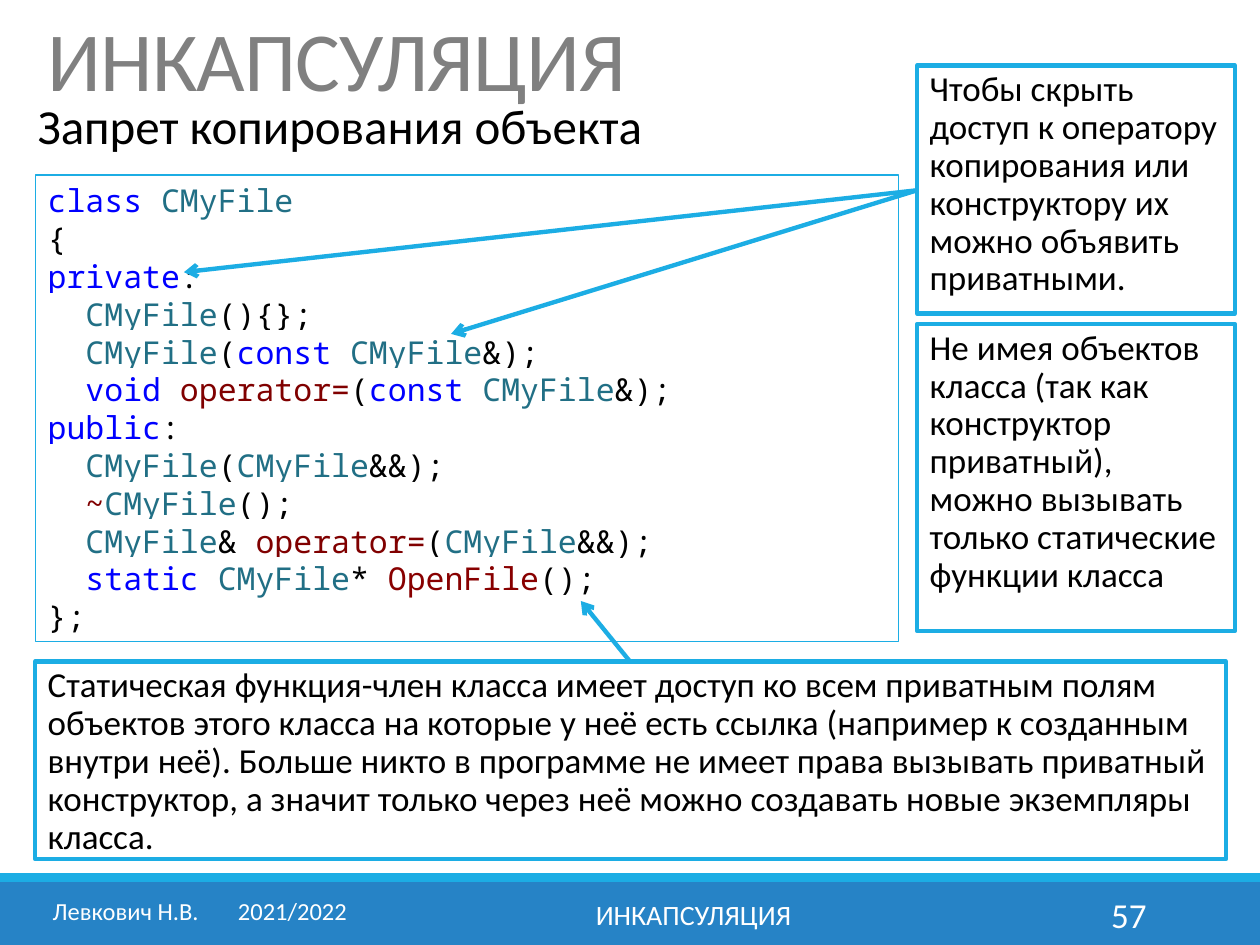
"""Build the slide on forbidding object copying with private class members."""
from lxml import etree
from pptx import Presentation
from pptx import util as u
from pptx.dml.color import RGBColor
from pptx.enum import shapes, text
from pptx.oxml import ns

SKY = RGBColor(0x1C, 0xAD, 0xE4)
BLUE = RGBColor(0x26, 0x83, 0xC6)
WHITE = RGBColor(0xFF, 0xFF, 0xFF)
BLACK = RGBColor(0, 0, 0)
GRAY = RGBColor(0x80, 0x80, 0x80)
KEYWORD = RGBColor(0, 0, 0xFF)
TYPE = RGBColor(0x21, 0x6F, 0x85)
OPERATOR = RGBColor(0x80, 0, 0)
FUNCTION = RGBColor(0x88, 0, 0)

TOPIC = "ИНКАПСУЛЯЦИЯ"
CODE = [
    "class| |CMyFile",
    "{",
    "private|:",
    "  |CMyFile|(){};",
    "  |CMyFile|(|const| |CMyFile|&);",
    "  |void| |operator=|(|const| |CMyFile|&);",
    "public|:",
    "  |CMyFile|(|CMyFile|&&);",
    "  ~|CMyFile|();",
    "  |CMyFile|& |operator=|(|CMyFile|&&);",
    "  |static| |CMyFile|* |OpenFile|();",
    "};",
]
TOKEN_COLORS = {
    **dict.fromkeys(["class", "private", "public", "const", "void", "static"], KEYWORD),
    "CMyFile": TYPE, "operator=": OPERATOR, "  ~": OPERATOR, "OpenFile": FUNCTION,
}
BARS = [((0, 7, 10, 0.5), BLUE), ((0, 6.93, 10, 0.07), SKY)]
NOTES = [
    ((0.28, 5.25, 9.45, 1.57),
     "Статическая функция-член класса имеет доступ ко всем приватным полям объектов "
     "этого класса на которые у неё есть ссылка (например к созданным внутри неё). "
     "Больше никто в программе не имеет права вызывать приватный конструктор, а значит "
     "только через неё можно создавать новые экземпляры класса."),
    ((7.28, 2.57, 2.52, 2.44),
     "Не имея объектов класса (так как конструктор приватный),\v"
     "можно вызывать только статические функции класса"),
    ((7.28, 0.52, 2.52, 1.97),
     "Чтобы скрыть доступ к оператору копирования или конструктору их можно "
     "объявить приватными."),
]
ARROWS = [
    ((5, 5.25), (4.61, 4.77)),
    ((7.28, 1.51), (3.58, 2.65)),
    ((7.28, 1.51), (1.46, 2.16)),
]
LEFT, CENTER, RIGHT = text.PP_ALIGN.LEFT, text.PP_ALIGN.CENTER, text.PP_ALIGN.RIGHT
TOP, MIDDLE = text.MSO_ANCHOR.TOP, text.MSO_ANCHOR.MIDDLE
LABELS = [
    ((0.2, 0.76, 8.71, 0.55), "Запрет копирования объекта", 28, BLACK, LEFT, TOP, 0.9),
    ((0.32, 7.06, 2.61, 0.4), "Левкович Н.В.\t2021/2022", 14, WHITE, LEFT, TOP, 1.0),
    ((3.02, 7.06, 4.97, 0.4), TOPIC, 16, WHITE, CENTER, MIDDLE, 1.0),
    ((8.12, 7.06, 1.08, 0.4), "57", 20, WHITE, RIGHT, MIDDLE, 1.0),
]
FOOTER_TAB = 1.47


def apply(target, **values):
    for key, value in values.items():
        setattr(target, key, value)


def inches(values):
    return [u.Inches(value) for value in values]


def set_font(font, color, size, name="Calibri"):
    apply(font, name=name, size=u.Pt(size))
    font.color.rgb = color


def set_frame(frame, anchor=TOP):
    apply(frame, word_wrap=True, auto_size=text.MSO_AUTO_SIZE.NONE, vertical_anchor=anchor)


def write(frame, content, size, color, align=LEFT, anchor=TOP, spacing=0.9):
    set_frame(frame, anchor)
    paragraph = frame.paragraphs[0]
    paragraph.text = content
    apply(paragraph, alignment=align, line_spacing=spacing, space_before=u.Pt(0))
    if "\t" in content:
        tabs = etree.SubElement(paragraph._p.get_or_add_pPr(), ns.qn("a:tabLst"))
        etree.SubElement(tabs, ns.qn("a:tab"), pos=str(u.Inches(FOOTER_TAB)), algn="l")
    for run in paragraph.runs:
        set_font(run.font, color, size)
    return paragraph


def add_box(slide, place, fill=None, line=None):
    box = slide.shapes.add_shape(shapes.MSO_SHAPE.RECTANGLE, *inches(place))
    box.shadow.inherit = False
    if fill is None:
        box.fill.background()
    else:
        box.fill.solid()
        box.fill.fore_color.rgb = fill
    if line is None:
        box.line.fill.background()
    else:
        box.line.color.rgb = SKY
        box.line.width = u.Pt(line)
    return box


def add_code(slide):
    frame = add_box(slide, (0.28, 1.39, 6.85, 3.7), line=0.75).text_frame
    set_frame(frame)
    for index, code_line in enumerate(CODE):
        paragraph = frame.add_paragraph() if index else frame.paragraphs[0]
        apply(paragraph, alignment=LEFT, line_spacing=u.Pt(21.6))
        for token in code_line.split("|"):
            run = paragraph.add_run()
            run.text = token
            set_font(run.font, TOKEN_COLORS.get(token, BLACK), 18, "Noto Sans Mono")
            highlight = etree.Element(ns.qn("a:highlight"))
            etree.SubElement(highlight, ns.qn("a:srgbClr"), val=str(WHITE))
            run._r.rPr.find(ns.qn("a:solidFill")).addnext(highlight)


def add_arrow(slide, start, end):
    arrow = slide.shapes.add_connector(
        shapes.MSO_CONNECTOR.STRAIGHT, *inches(start + end))
    arrow.line.color.rgb = SKY
    arrow.line.width = u.Pt(2.5)
    etree.SubElement(arrow.line._get_or_add_ln(), ns.qn("a:tailEnd"), type="arrow")
    etree.SubElement(arrow._element.spPr, ns.qn("a:effectLst"))


def main():
    deck = Presentation()
    apply(deck, slide_width=u.Inches(10), slide_height=u.Inches(7.5))
    slide = deck.slides.add_slide(deck.slide_layouts[5])

    for place, color in BARS:
        add_box(slide, place, fill=color)

    title = slide.shapes.title
    apply(title, **dict(zip(("left", "top", "width", "height"),
                            inches((0.28, 0.13, 9.45, 1.02)))))
    heading = write(title.text_frame, TOPIC, 48, GRAY, spacing=0.85)
    heading.runs[0].font._element.set("spc", "-50")

    for place, content, *style in LABELS:
        write(slide.shapes.add_textbox(*inches(place)).text_frame, content, *style)
    add_code(slide)
    for place, content in NOTES:
        write(add_box(slide, place, line=2.5).text_frame, content, 20, BLACK)
    for start, end in ARROWS:
        add_arrow(slide, start, end)

    deck.save("out.pptx")


if __name__ == "__main__":
    main()
